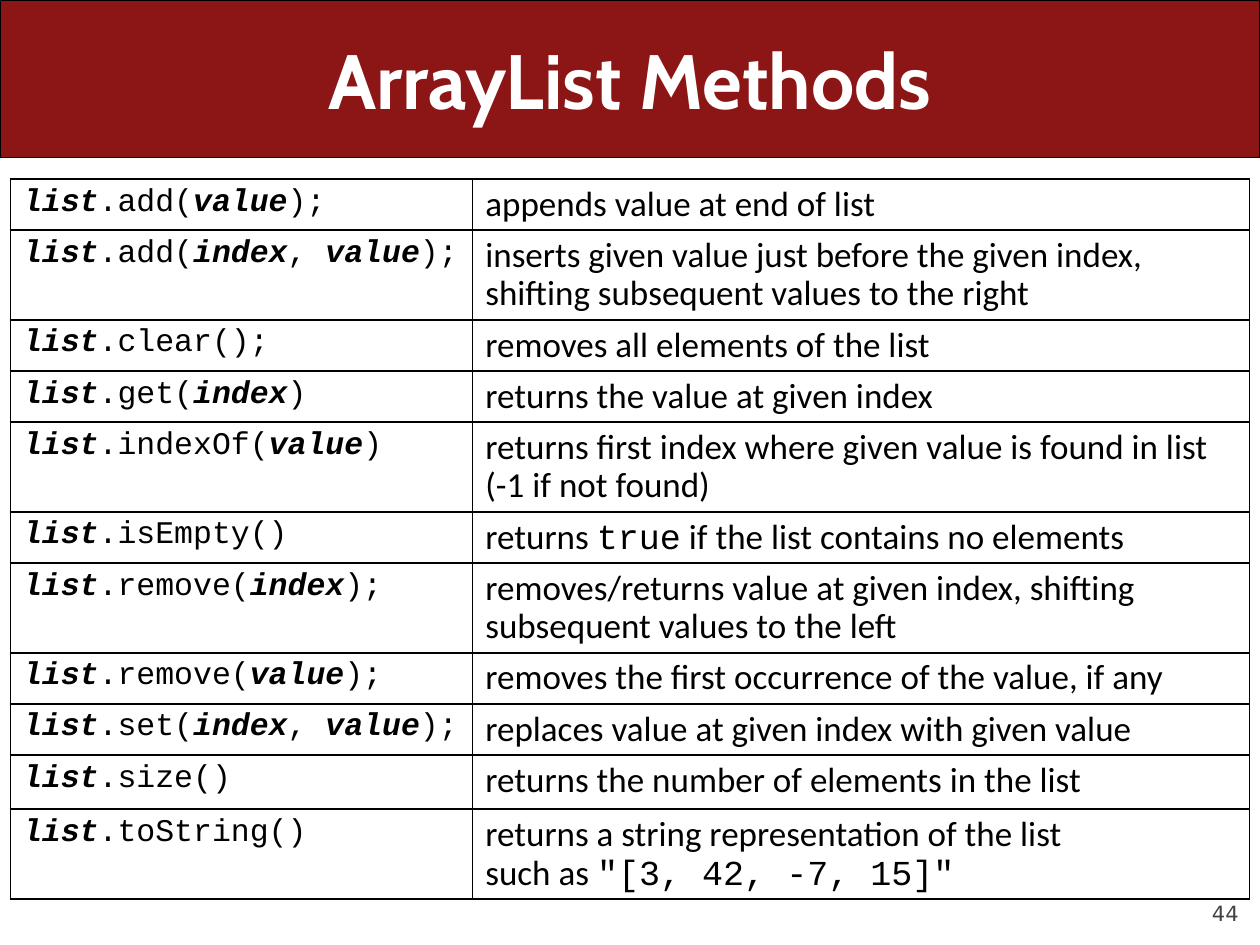
"""Build a slide that lists the ArrayList methods in a two-column table."""
from lxml import etree
from pptx import Presentation
from pptx import util as u
from pptx.dml.color import RGBColor
from pptx.enum import shapes, text
from pptx.oxml.ns import qn

COLOURS = {"banner": "8C1515", "ink": "000000", "title": "FFFFFF", "number": "424242"}
CODE, BODY = "Courier New", "Calibri"
SINGLE, DOUBLE, SIZE_ROW = 1.03, 1.81, 1.09

# Asterisks enclose the emphasised parts of a signature and the code in a description.
METHODS = [
    ("*list*.add(*value*);", "appends value at end of list", SINGLE),
    ("*list*.add(*index*, *value*);",
     "inserts given value just before the given index, shifting subsequent values to the right", DOUBLE),
    ("*list*.clear();", "removes all elements of the list", SINGLE),
    ("*list*.get(*index*)", "returns the value at given index", SINGLE),
    ("*list*.indexOf(*value*)",
     "returns first index where given value is found in list (-1 if not found)", DOUBLE),
    ("*list*.isEmpty()", "returns *true* if the list contains no elements", SINGLE),
    ("*list*.remove(*index*);",
     "removes/returns value at given index, shifting subsequent values to the left", DOUBLE),
    ("*list*.remove(*value*);", "removes the first occurrence of the value, if any", SINGLE),
    ("*list*.set(*index*, *value*);", "replaces value at given index with given value", SINGLE),
    ("*list*.size()", "returns the number of elements in the list", SIZE_ROW),
    ("*list*.toString()",
     'returns a string representation of the list\nsuch as *"[3, 42, -7, 15]"*', DOUBLE),
]


class MethodSlide:
    """Hold the style and the current slide, and draw its elements."""

    def __init__(self, page, colours):
        self.page = page
        self.colours = colours

    def colour(self, name):
        return RGBColor.from_string(self.colours[name])

    def span(self, para, words, font, size, colour="ink", bold=False, italic=False):
        span = para.add_run()
        span.text = words
        span.font.name, span.font.size = font, u.Pt(size)
        span.font.bold, span.font.italic = bold, italic
        span.font.color.rgb = self.colour(colour)

    def banner(self, width, height):
        box = self.page.shapes.add_shape(
            shapes.MSO_SHAPE.ROUNDED_RECTANGLE, 0, 0, u.Cm(width), u.Cm(height))
        box.adjustments[0] = 0
        box.shadow.inherit = False
        box.fill.solid()
        box.fill.fore_color.rgb = self.colour("banner")
        box.line.color.rgb = self.colour("ink")
        box.line.width = u.Pt(0.75)

    def label(self, place, words, align, anchor, margin=None, **style):
        box = self.page.shapes.add_textbox(*map(u.Cm, place))
        frame = box.text_frame
        frame.word_wrap = True
        frame.vertical_anchor = anchor
        if margin is not None:
            frame.margin_left = frame.margin_right = u.Cm(margin)
            frame.margin_top = frame.margin_bottom = u.Cm(margin)
        para = frame.paragraphs[0]
        para.alignment = align
        self.span(para, words, **style)

    def border(self, cell):
        properties = cell._tc.get_or_add_tcPr()
        for position, side in enumerate(("a:lnL", "a:lnR", "a:lnT", "a:lnB")):
            line = etree.Element(qn(side), w=str(u.Pt(1)))
            fill = etree.SubElement(line, qn("a:solidFill"))
            etree.SubElement(fill, qn("a:srgbClr"), val=self.colours["ink"])
            properties.insert(position, line)

    def cell(self, cell, marked, is_signature):
        cell.fill.background()
        self.border(cell)
        frame = cell.text_frame
        for number, line in enumerate(marked.split("\n")):
            para = frame.add_paragraph() if number else frame.paragraphs[0]
            para.line_spacing = 0.9
            for index, words in enumerate(line.split("*")):
                special = index % 2 == 1
                if not words:
                    continue
                if is_signature:
                    self.span(para, words, CODE, 18, bold=special, italic=special)
                else:
                    self.span(para, words, CODE if special else BODY, 20)

    def method_table(self, left, top, widths, methods):
        height = sum(row_height for _, _, row_height in methods)
        table = self.page.shapes.add_table(
            len(methods), len(widths), u.Cm(left), u.Cm(top),
            u.Cm(sum(widths)), u.Cm(height)).table
        table.first_row = table.horz_banding = False
        for column, width in zip(table.columns, widths):
            column.width = u.Cm(width)
        for row, (signature, description, row_height) in zip(table.rows, methods):
            row.height = u.Cm(row_height)
            self.cell(row.cells[0], signature, True)
            self.cell(row.cells[1], description, False)


def main():
    deck = Presentation()
    deck.slide_width, deck.slide_height = u.Cm(25.4), u.Cm(19.05)
    slide = MethodSlide(deck.slides.add_slide(deck.slide_layouts[6]), COLOURS)
    slide.label((22.86, 17.65, 2.11, 1.02), "44", text.PP_ALIGN.RIGHT, text.MSO_ANCHOR.BOTTOM,
                margin=0, font="DejaVu Sans", size=12, colour="number")
    slide.banner(25.4, 3.18)
    slide.label((1.27, 0, 22.86, 3.18), "ArrayList Methods", text.PP_ALIGN.CENTER,
                text.MSO_ANCHOR.MIDDLE, font="Cabin", size=44, colour="title", bold=True)
    slide.method_table(0.21, 3.61, (9.32, 15.66), METHODS)
    deck.save("out.pptx")


if __name__ == "__main__":
    main()
